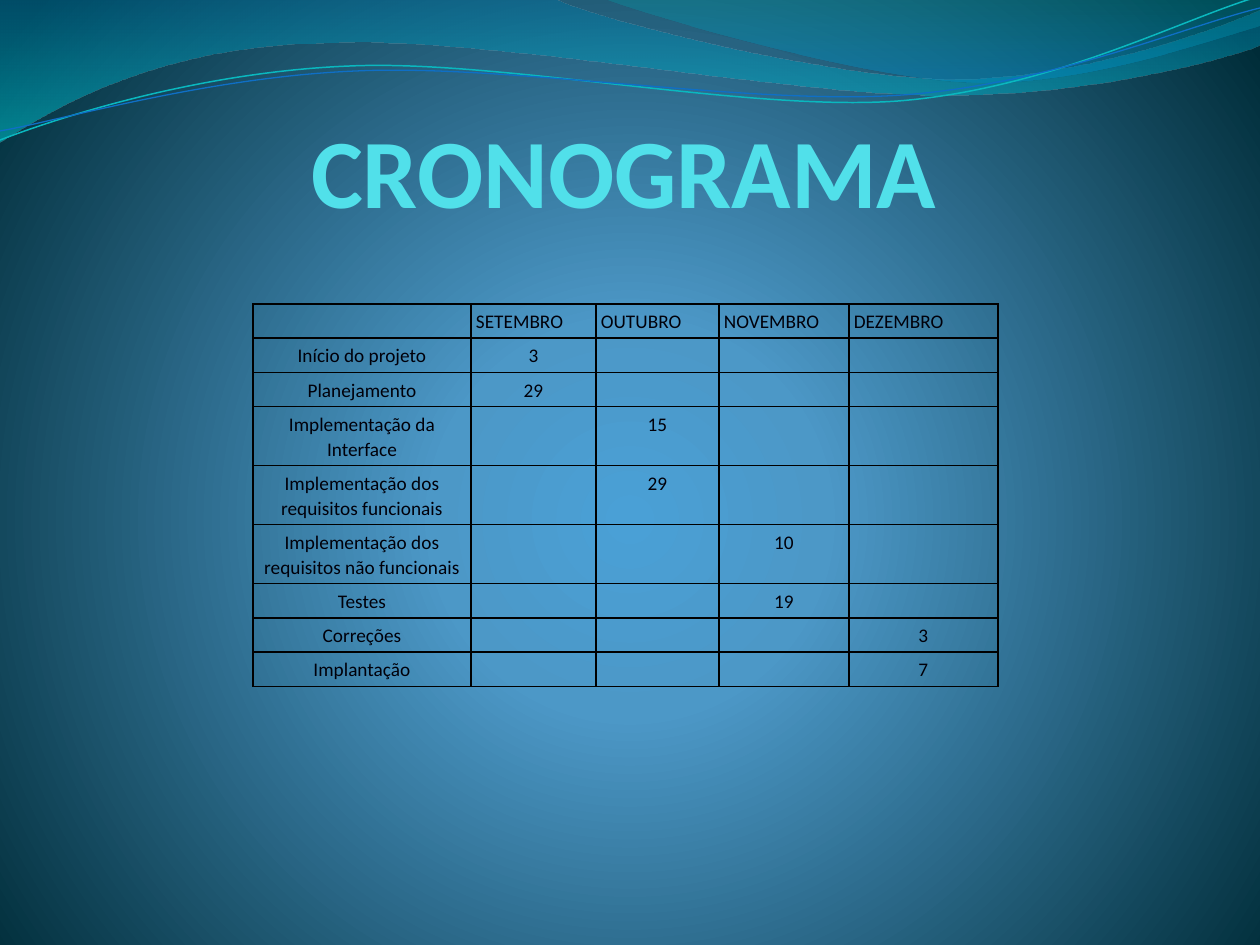
from lxml.etree import SubElement
from pptx import Presentation
from pptx.dml.color import RGBColor
from pptx.enum.text import MSO_ANCHOR, PP_ALIGN
from pptx.oxml.ns import qn
from pptx.util import Pt

EMU_PER_PX = 914400 / 126
FONT = "Calibri"
TITLE_COLOR = RGBColor(0x51, 0xE0, 0xEA)
CELL_COLOR = RGBColor(0x00, 0x00, 0x0A)
BORDER_COLOR = RGBColor(0x00, 0x00, 0x00)
TEAL_LINE = RGBColor(0x0A, 0xB8, 0xBF)
BLUE_LINE = RGBColor(0x0F, 0x6F, 0xC6)

# Gradient stops: position %, colour, opacity %
BACKGROUND_STOPS = [(0, RGBColor(0x4A, 0xA0, 0xD6), 100),
                    (25, RGBColor(0x4C, 0x98, 0xC7), 100),
                    (100, RGBColor(0x00, 0x2C, 0x38), 100)]
WIDE_WAVE_STOPS = [(0, RGBColor(0x00, 0x74, 0xA1), 45),
                   (100, RGBColor(0x00, 0xC6, 0xCF), 55)]
RIGHT_WAVE_STOPS = [(0, RGBColor(0x00, 0xA1, 0xA9), 30),
                    (80, RGBColor(0x00, 0x8B, 0xBF), 45)]

# Outlines: a start, then segments of one point (line) or three (curve)
WIDE_WAVE = [(0, 0), [(554, -1)],
             [(600, 21), (837, 79), (955, 79)],
             [(1075, 79), (1207, 33), (1260, 11)], [(1261, 45)],
             [(1239, 55), (1096, 96), (940, 95)],
             [(784, 95), (481, 35), (324, 43)],
             [(163, 45), (58, 105), (-1, 142)]]
RIGHT_WAVE = [(604, -1), [(641, 14), (859, 78), (969, 82)],
              [(1079, 87), (1211, 40), (1260, 26)], [(1260, 0)]]
TEAL_CURVE = [(0, 140), [(60, 117), (199, 72), (349, 66)],
              [(498, 59), (747, 112), (898, 101)],
              [(1050, 89), (1182, 19), (1257, -3)]]
BLUE_CURVE = [(0, 131), [(59, 121), (207, 77), (357, 71)],
              [(508, 64), (752, 106), (903, 95)],
              [(1053, 84), (1186, 26), (1260, 8)]]

MONTHS = ["SETEMBRO", "OUTUBRO", "NOVEMBRO", "DEZEMBRO"]
# Task, month column, day
TASKS = [("Início do projeto", 1, "3"),
         ("Planejamento", 1, "29"),
         ("Implementação da Interface", 2, "15"),
         ("Implementação dos requisitos funcionais", 2, "29"),
         ("Implementação dos requisitos não funcionais", 3, "10"),
         ("Testes", 3, "19"),
         ("Correções", 4, "3"),
         ("Implantação", 4, "7")]
COLUMN_WIDTHS = [218, 125, 123, 130, 149]
ROW_HEIGHT, TALL_ROW_HEIGHT = 34, 59
CELL_INSET = 5


def px(value):
    return round(value * EMU_PER_PX)


def set_values(target, values):
    for name, value in values.items():
        setattr(target, name, value)


def set_gradient(fill, owner, stops, centre=None):
    """Radial when a centre rectangle is given, else top to bottom."""
    fill.solid()
    solid = owner.find(qn("a:solidFill"))
    gradient = solid.makeelement(qn("a:gradFill"), {"rotWithShape": "1"})
    owner.replace(solid, gradient)
    stop_list = SubElement(gradient, qn("a:gsLst"))
    for position, color, opacity in stops:
        stop = SubElement(stop_list, qn("a:gs"), pos=str(position * 1000))
        tone = SubElement(stop, qn("a:srgbClr"), val=str(color))
        if opacity < 100:
            SubElement(tone, qn("a:alpha"), val=str(opacity * 1000))
    if centre:
        radial = SubElement(gradient, qn("a:path"), {"path": "circle"})
        sides = {side: str(share * 1000) for side, share in zip("ltrb", centre)}
        SubElement(radial, qn("a:fillToRect"), sides)
    else:
        SubElement(gradient, qn("a:lin"), ang="5400000", scaled="0")


def add_outline(slide, outline, close):
    start, *segments = outline
    builder = slide.shapes.build_freeform(px(start[0]), px(start[1]))
    points = [(px(x), px(y)) for segment in segments for x, y in segment]
    builder.add_line_segments(points, close=close)
    shape = builder.convert_to_shape()
    shape.shadow.inherit = False
    # Join each run of three points into one curve
    steps = iter(shape._element.findall(".//" + qn("a:lnTo")))
    for segment in segments:
        lines = [next(steps) for _ in segment]
        if len(lines) == 3:
            curve = lines[0].makeelement(qn("a:cubicBezTo"), {})
            lines[0].addprevious(curve)
            for line in lines:
                curve.append(line[0])
                line.getparent().remove(line)
    return shape


def add_wave(slide, outline, stops):
    wave = add_outline(slide, outline, close=True)
    set_gradient(wave.fill, wave._element.spPr, stops)
    wave.line.fill.background()


def add_curve(slide, outline, color, width):
    curve = add_outline(slide, outline, close=False)
    curve.fill.background()
    curve.line.color.rgb = color
    curve.line.width = Pt(width)


def add_title(slide, text):
    box = slide.shapes.add_textbox(px(84), px(-24), px(1082), px(252))
    frame = box.text_frame
    set_values(frame, {"word_wrap": True, "vertical_anchor": MSO_ANCHOR.BOTTOM,
                       "margin_left": 0, "margin_top": 0,
                       "margin_right": px(2), "margin_bottom": 0})
    paragraph = frame.paragraphs[0]
    paragraph.alignment = PP_ALIGN.CENTER
    run = paragraph.add_run()
    run.text = text
    set_values(run.font, {"name": FONT, "size": Pt(56), "bold": True})
    run.font.color.rgb = TITLE_COLOR


def set_borders(cell):
    properties = cell._tc.get_or_add_tcPr()
    for side in ("lnL", "lnR", "lnT", "lnB"):
        border = SubElement(properties, qn("a:" + side), w=str(Pt(1)))
        fill = SubElement(border, qn("a:solidFill"))
        SubElement(fill, qn("a:srgbClr"), val=str(BORDER_COLOR))


def fill_cell(cell, text, alignment):
    set_borders(cell)
    cell.fill.background()
    set_values(cell, {"margin_" + side: px(CELL_INSET)
                      for side in ("left", "top", "right", "bottom")})
    paragraph = cell.text_frame.paragraphs[0]
    set_values(paragraph, {"alignment": alignment, "line_spacing": 1.05,
                           "space_after": Pt(8)})
    if text:
        run = paragraph.add_run()
        run.text = text
        set_values(run.font, {"name": FONT, "size": Pt(11)})
        run.font.color.rgb = CELL_COLOR
    else:
        SubElement(paragraph._p, qn("a:endParaRPr"), sz="1100")


def add_schedule(slide):
    rows = [["", *MONTHS]]
    for task, month, day in TASKS:
        rows.append([task] + [day if column == month else ""
                              for column in range(1, len(MONTHS) + 1)])
    heights = [TALL_ROW_HEIGHT if len(row[0]) > 20 else ROW_HEIGHT
               for row in rows]
    schedule = slide.shapes.add_table(
        len(rows), len(COLUMN_WIDTHS), px(253), px(304),
        px(sum(COLUMN_WIDTHS)), px(sum(heights))).table
    set_values(schedule, {"first_row": False, "horz_banding": False})
    for column, width in zip(schedule.columns, COLUMN_WIDTHS):
        column.width = px(width)
    for r, (row, height) in enumerate(zip(rows, heights)):
        schedule.rows[r].height = px(height)
        for c, text in enumerate(row):
            header = PP_ALIGN.LEFT if c < 2 else PP_ALIGN.JUSTIFY
            fill_cell(schedule.cell(r, c), text,
                      PP_ALIGN.CENTER if r else header)


def main():
    deck = Presentation()
    set_values(deck, {"slide_width": px(1260), "slide_height": px(945)})
    slide = deck.slides.add_slide(deck.slide_layouts[6])

    # Background and waves
    background = slide.background.fill
    background.solid()
    set_gradient(background, slide._element.find(".//" + qn("p:bgPr")),
                 BACKGROUND_STOPS, centre=(10, 110, 10, 100))
    add_wave(slide, WIDE_WAVE, WIDE_WAVE_STOPS)
    add_wave(slide, RIGHT_WAVE, RIGHT_WAVE_STOPS)
    add_curve(slide, TEAL_CURVE, TEAL_LINE, 0.85)
    add_curve(slide, BLUE_CURVE, BLUE_LINE, 0.75)

    # Title and schedule
    add_title(slide, "CRONOGRAMA")
    add_schedule(slide)
    deck.save("out.pptx")


main()
